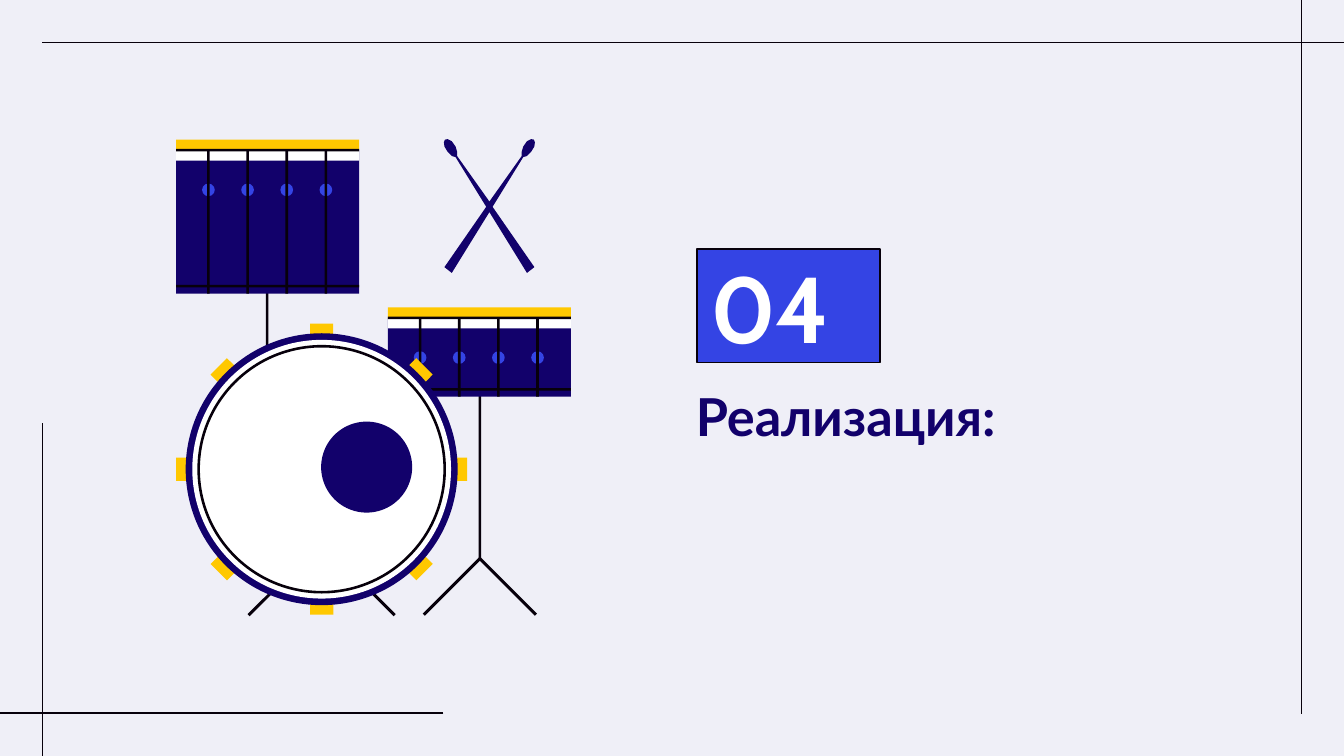
import math
from dataclasses import dataclass

from lxml import etree
from pptx import Presentation
from pptx.dml.color import RGBColor
from pptx.enum.shapes import MSO_CONNECTOR, MSO_SHAPE
from pptx.enum.text import MSO_ANCHOR, MSO_AUTO_SIZE, PP_ALIGN
from pptx.oxml.ns import qn
from pptx.util import Cm, Pt

RECTANGLE, OVAL = MSO_SHAPE.RECTANGLE, MSO_SHAPE.OVAL
STRAIGHT = MSO_CONNECTOR.STRAIGHT
TOP, MIDDLE = MSO_ANCHOR.TOP, MSO_ANCHOR.MIDDLE
LEFT = PP_ALIGN.LEFT
NO_AUTOFIT = MSO_AUTO_SIZE.NONE


@dataclass(frozen=True)
class Theme:
    background = RGBColor.from_string("EFEFF7")
    ink = RGBColor.from_string("07000B")
    navy = RGBColor.from_string("12016B")
    blue = RGBColor.from_string("3444E4")
    yellow = RGBColor.from_string("FFC800")
    white = RGBColor.from_string("FFFFFF")
    title_font, title_size = "Lato", Pt(28)
    number_font, number_size = "Cabin", Pt(50)
    frame_line, ring_line = Pt(0.75), Pt(1.4)


theme = Theme()
presentation = Presentation()
presentation.slide_width, presentation.slide_height = Cm(25.4), Cm(14.29)
slide = presentation.slides.add_slide(presentation.slide_layouts[5])
slide.background.fill.solid()
slide.background.fill.fore_color.rgb = theme.background


def add_centred(kind, x, y, width, height, color):
    """Add a filled shape without outline, centred on x, y (cm)."""
    shape = slide.shapes.add_shape(
        kind, Cm(x - width / 2), Cm(y - height / 2), Cm(width), Cm(height))
    shape.shadow.inherit = False
    shape.fill.solid()
    shape.fill.fore_color.rgb = color
    shape.line.fill.background()
    return shape


def add_outline(points, color):
    """Add a filled polygon through points given in cm."""
    corners = [(Cm(x), Cm(y)) for x, y in points]
    builder = slide.shapes.build_freeform(*corners[0])
    builder.add_line_segments(corners[1:], close=True)
    shape = builder.convert_to_shape()
    shape.shadow.inherit = False
    shape.fill.solid()
    shape.fill.fore_color.rgb = color
    shape.line.fill.background()


# Frame lines
for x1, y1, x2, y2 in (
    (8.38, 13.48, 0, 13.48),
    (0.8, 14.29, 0.8, 8),
    (0.8, 0.8, 25.4, 0.8),
    (24.6, 0, 24.6, 13.5),
):
    line = slide.shapes.add_connector(STRAIGHT, Cm(x1), Cm(y1), Cm(x2), Cm(y2))
    line.line.color.rgb = theme.ink
    line.line.width = theme.frame_line
    etree.SubElement(line._element.spPr, qn("a:effectLst"))

# Title and section number
title = slide.shapes.title
title.left, title.top, title.width, title.height = Cm(12.9), Cm(6.93), Cm(9.19), Cm(2.64)
title.text_frame.text = "Реализация:"
title.text_frame.paragraphs[0].line_spacing = 1.07
title.text_frame.paragraphs[0].space_after = Pt(8)

number = add_centred(RECTANGLE, 14.9, 5.78, 3.46, 2.14, theme.blue)
number.line.color.rgb = theme.ink
number.line.width = theme.frame_line
number.text_frame.text = "04"

for shape, anchor, font_name, size, color in (
    (title, TOP, theme.title_font, theme.title_size, theme.navy),
    (number, MIDDLE, theme.number_font, theme.number_size, theme.white),
):
    frame = shape.text_frame
    frame.word_wrap = True
    frame.auto_size = NO_AUTOFIT
    frame.vertical_anchor = anchor
    frame.margin_left = frame.margin_right = Cm(0.25)
    frame.margin_top = frame.margin_bottom = Cm(0.25)
    paragraph = frame.paragraphs[0]
    paragraph.alignment = LEFT
    paragraph.font.name = font_name
    paragraph.font.size = size
    paragraph.font.bold = True
    paragraph.font.color.rgb = color

# Stand of the floor tom and feet of the bass drum
for x, top, reach in ((9.07, 10.52, 1.08), (6.08, 10.21, 1.4)):
    half = [(0, 0), (reach, reach), (reach - 0.04, reach + 0.04), (0, 0.08)]
    offsets = half + [(-dx, dy) for dx, dy in half[-2:0:-1]]
    add_outline([(x + dx, top + dy) for dx, dy in offsets], theme.ink)

# Toms, each on its pole
TOM_WIDTH, STROKE, BAND = 3.46, 0.05, 0.2
for left, top, height, pole_x, pole_top, pole_bottom in (
    (7.33, 6.01, 1.49, 9.07, 6.78, 10.57),
    (3.33, 2.84, 2.71, 5.05, 3.61, 8.61),
):
    middle_x, middle_y = left + TOM_WIDTH / 2, top + height / 2
    add_centred(RECTANGLE, pole_x, (pole_top + pole_bottom) / 2,
                STROKE, pole_bottom - pole_top, theme.ink)
    add_centred(RECTANGLE, middle_x, middle_y, TOM_WIDTH, height, theme.navy)
    add_centred(RECTANGLE, middle_x, top + BAND / 2, TOM_WIDTH, BAND, theme.white)
    for index in range(4):
        rod_x = left + 0.61 + 0.74 * index
        add_centred(OVAL, rod_x, top + 0.75, 0.24, 0.24, theme.blue)
        add_centred(RECTANGLE, rod_x, middle_y, STROKE, height, theme.ink)
    add_centred(RECTANGLE, middle_x, top - BAND / 2, TOM_WIDTH, BAND, theme.yellow)
    for y in (top, top + height - 0.14):
        add_centred(RECTANGLE, middle_x, y, TOM_WIDTH, STROKE, theme.ink)

# Bass drum: eight lugs around the rim, then the skins
BASS_X, BASS_Y, LUG_RADIUS = 6.08, 8.87, 2.64
for angle in range(0, 360, 45):
    turn = math.radians(angle)
    lug = add_centred(RECTANGLE, BASS_X + LUG_RADIUS * math.sin(turn),
                      BASS_Y - LUG_RADIUS * math.cos(turn), 0.44, 0.22, theme.yellow)
    lug.rotation = angle
for diameter, color in ((5.14, theme.navy), (4.89, theme.white)):
    add_centred(OVAL, BASS_X, BASS_Y, diameter, diameter, color)
add_centred(OVAL, 6.93, 8.83, 1.72, 1.72, theme.navy)
ring = add_centred(OVAL, BASS_X, BASS_Y, 4.65, 4.65, theme.white)
ring.fill.background()
ring.line.color.rgb = theme.ink
ring.line.width = theme.ring_line

# Crossed drumsticks, mirrored about their crossing
STICKS_X = 9.25
right_half = [
    (0, 3.81), (0.61, 2.95), (0.61, 2.87), (0.64, 2.77), (0.71, 2.67), (0.79, 2.63),
    (0.84, 2.64), (0.86, 2.69), (0.85, 2.77), (0.79, 2.87), (0.71, 2.95), (0.64, 2.97),
    (0.06, 3.91), (0.85, 5.05), (0.71, 5.16), (0, 4.01),
]
left_half = [(-dx, y) for dx, y in right_half[-2:0:-1]]
add_outline([(STICKS_X + dx, y) for dx, y in right_half + left_half], theme.navy)

presentation.save("out.pptx")
